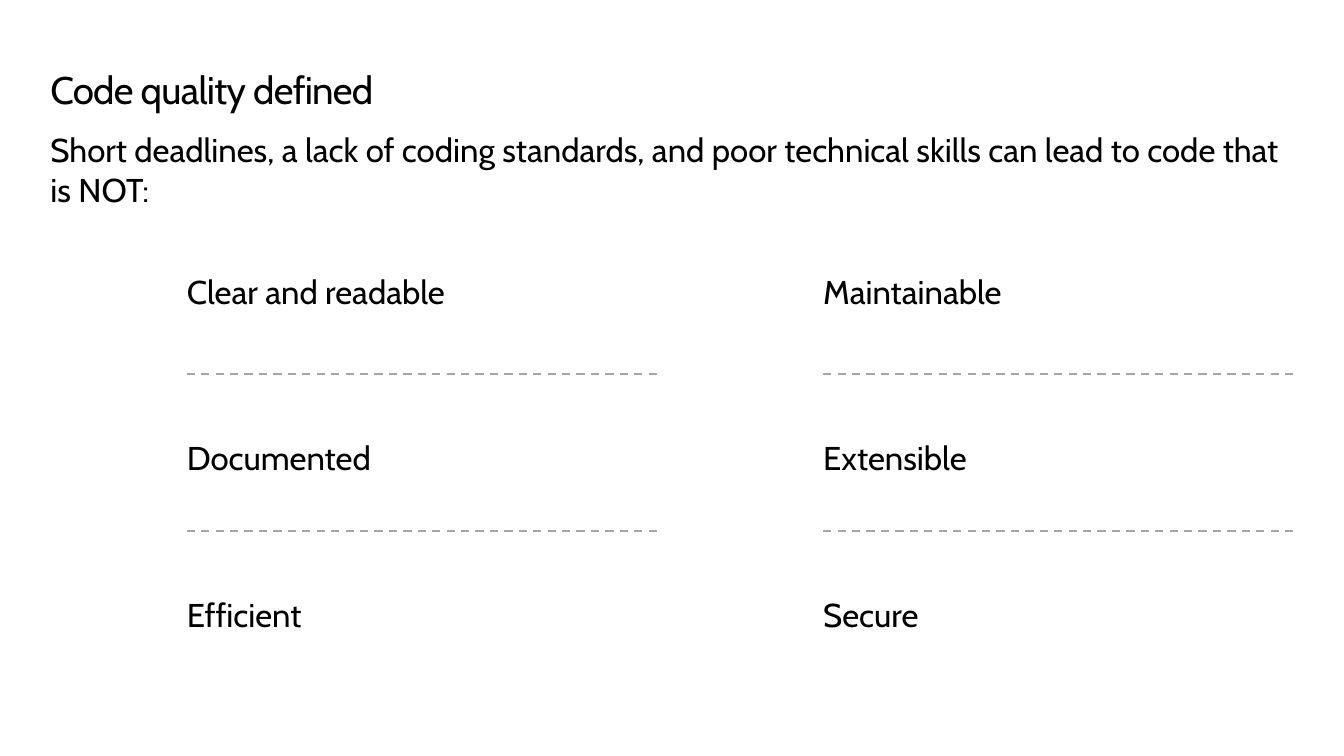
from lxml import etree
from pptx import Presentation
from pptx import util as u
from pptx.dml.color import RGBColor
from pptx.enum import dml, shapes, text
from pptx.oxml.ns import qn

BLACK = RGBColor(0x00, 0x00, 0x00)
GREY = RGBColor(0xA6, 0xA6, 0xA6)
FONT = "Cabin"

MARGIN, WIDTH = 0.51, 12.61
COLUMNS = (1.89, 8.33)
ROWS = (2.25, 3.93, 5.52)
CELL_W, CELL_H = 4.81, 1.39
RULE_W, RULE_GAP = 4.78, 0.15
QUALITIES = (
    ("Clear and readable", "Documented", "Efficient"),
    ("Maintainable", "Extensible", "Secure"),
)


def write(sp, words, size=24, anchor=text.MSO_ANCHOR.MIDDLE, line=None, spacing=None):
    """Fill a shape with one left-aligned paragraph; spacing is in 1/100 pt."""
    tf = sp.text_frame
    tf.word_wrap = True
    tf.auto_size = text.MSO_AUTO_SIZE.NONE
    tf.vertical_anchor = anchor
    tf.margin_left = tf.margin_right = tf.margin_top = tf.margin_bottom = 0
    p = tf.paragraphs[0]
    p.alignment = text.PP_ALIGN.LEFT
    if line:
        p.line_spacing = u.Pt(line)
    r = p.add_run()
    r.text = words
    r.font.name, r.font.size = FONT, u.Pt(size)
    r.font.color.rgb = BLACK
    if spacing:
        r._r.get_or_add_rPr().set("spc", str(spacing))


def add_title(s, words):
    sp = s.shapes.title
    sp.left, sp.top = u.Inches(MARGIN), u.Inches(0.69)
    sp.width, sp.height = u.Inches(WIDTH), u.Inches(0.45)
    write(sp, words, size=28, anchor=text.MSO_ANCHOR.TOP, line=32, spacing=-50)


def add_text(s, words, *box):
    write(s.shapes.add_textbox(*map(u.Inches, box)), words)


def add_rule(s, x, y):
    ends = map(u.Inches, (x, y, x + RULE_W, y))
    rule = s.shapes.add_connector(shapes.MSO_CONNECTOR.STRAIGHT, *ends)
    rule.line.color.rgb = GREY
    rule.line.width = u.Pt(1.5)
    rule.line.dash_style = dml.MSO_LINE.DASH
    etree.SubElement(rule._element.spPr, qn("a:effectLst"))


def main():
    prs = Presentation()
    prs.slide_width, prs.slide_height = u.Inches(13.6), u.Inches(7.65)
    s = prs.slides.add_slide(prs.slide_layouts.get_by_name("Title Only"))
    add_title(s, "Code quality defined")
    add_text(
        s,
        "Short deadlines, a lack of coding standards, and poor technical skills "
        "can lead to code that is NOT:",
        MARGIN, 1.31, WIDTH, 0.81,
    )
    for x, qualities in zip(COLUMNS, QUALITIES):
        for row, (y, quality) in enumerate(zip(ROWS, qualities)):
            if row:
                add_rule(s, x, y - RULE_GAP)
            add_text(s, quality, x, y, CELL_W, CELL_H)
    prs.save("out.pptx")


if __name__ == "__main__":
    main()
